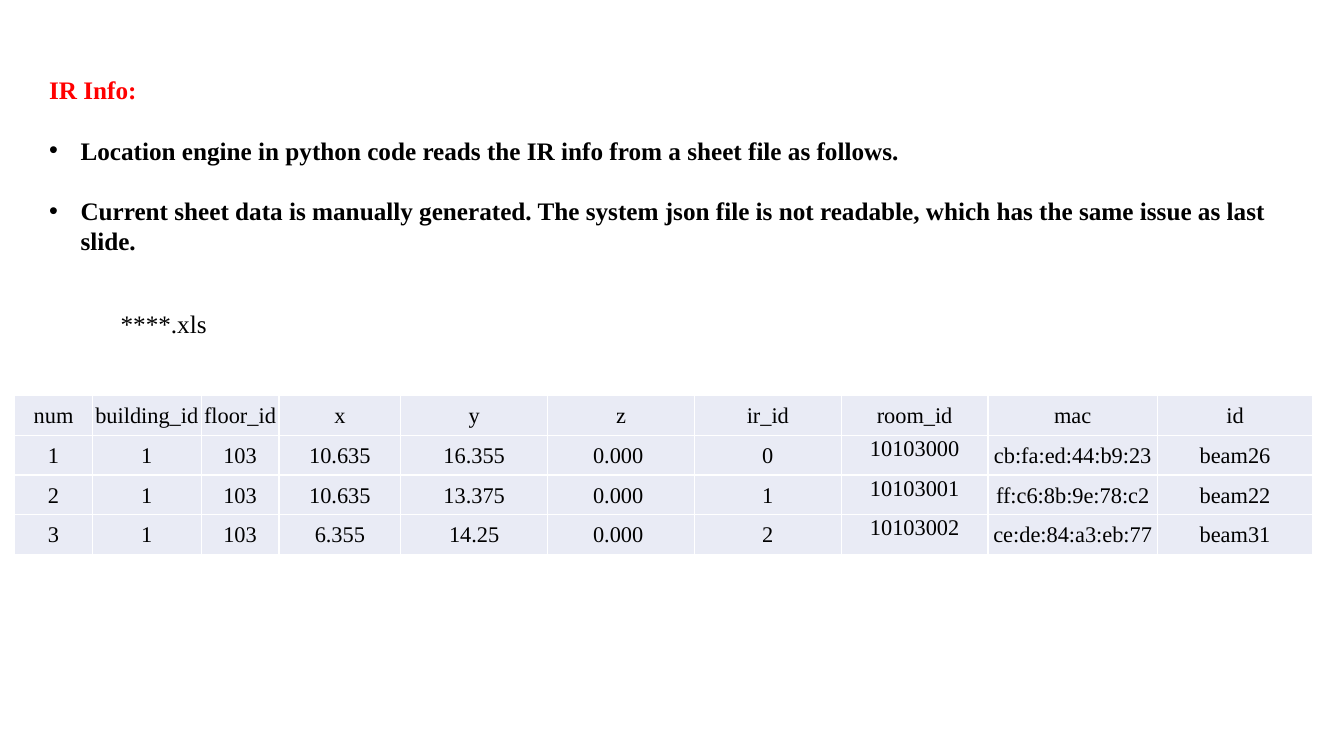
"""Build the slide that lists the IR info table read by the location engine."""
from dataclasses import dataclass

from lxml.etree import SubElement
from pptx import Presentation
from pptx.dml.color import RGBColor
from pptx.enum.text import MSO_ANCHOR as Anchor, MSO_AUTO_SIZE as AutoSize, PP_ALIGN as Align
from pptx.oxml import parse_xml
from pptx.oxml.ns import nsdecls, qn
from pptx.util import Cm, Pt

BLACK = RGBColor(0x00, 0x00, 0x00)
RED = RGBColor(0xFF, 0x00, 0x00)
WHITE = RGBColor(0xFF, 0xFF, 0xFF)
PALE_BLUE = RGBColor(0xE9, 0xEB, 0xF5)
FONT = "Times New Roman"
ROW_HEIGHT = Cm(1)
CELL_INSET = Cm(0.03)


@dataclass(frozen=True)
class Line:
    """A paragraph and its format."""

    text: str
    color: RGBColor = BLACK
    bold: bool = False
    bullet: bool = False
    gap: float = 0


@dataclass(frozen=True)
class TextBlock:
    """A text box with its place in centimetres."""

    left: float
    top: float
    width: float
    height: float
    lines: tuple[Line, ...]


@dataclass(frozen=True)
class Column:
    """A table column with its width in centimetres."""

    name: str
    width: float
    values: tuple[str, ...]
    anchor: Anchor = Anchor.MIDDLE


BLOCKS = (
    TextBlock(0.99, 1.75, 32.13, 5.64, (
        Line("IR Info:", color=RED, bold=True),
        Line("Location engine in python code reads the IR info from a sheet file as follows.",
             bold=True, bullet=True, gap=21.6),
        Line("Current sheet data is manually generated. The system json file is not readable, "
             "which has the same issue as last slide.", bold=True, bullet=True, gap=21.6),
    )),
    TextBlock(2.79, 7.65, 10.21, 1.02, (Line("****.xls"),)),
)

COLUMNS = (
    Column("num", 1.96, ("1", "2", "3")),
    Column("building_id", 2.74, ("1",) * 3),
    Column("floor_id", 1.96, ("103",) * 3),
    Column("x", 3.07, ("10.635", "10.635", "6.355")),
    Column("y", 3.7, ("16.355", "13.375", "14.25")),
    Column("z", 3.7, ("0.000 ",) * 3),
    Column("ir_id", 3.7, ("0", "1", "2")),
    Column("room_id", 3.7, ("10103000", "10103001", "10103002"), Anchor.TOP),
    Column("mac", 4.27, ("cb:fa:ed:44:b9:23", "ff:c6:8b:9e:78:c2", "ce:de:84:a3:eb:77")),
    Column("id", 3.91, ("beam26", "beam22", "beam31")),
)


def write(para, text: str, *, size: float, color: RGBColor = BLACK, bold: bool = False,
          align: Align = Align.LEFT, gap: float = 0) -> None:
    """Write formatted text into a paragraph."""
    para.alignment = align
    para.space_before = Pt(gap)
    span = para.add_run()
    span.text = text
    span.font.name = FONT
    span.font.size = Pt(size)
    span.font.bold = bold
    span.font.color.rgb = color


def add_bullet(para) -> None:
    """Give a paragraph a round bullet with a hanging indent."""
    properties = para._p.get_or_add_pPr()
    properties.set("marL", str(Cm(0.79)))
    properties.set("indent", str(-Cm(0.79)))
    SubElement(properties, qn("a:buFont"), typeface="Arial")
    SubElement(properties, qn("a:buChar"), char="•")


def add_text_block(page, block: TextBlock) -> None:
    """Draw a text box with all its lines."""
    box = page.shapes.add_textbox(Cm(block.left), Cm(block.top), Cm(block.width), Cm(block.height))
    frame = box.text_frame
    frame.word_wrap = True
    frame.auto_size = AutoSize.SHAPE_TO_FIT_TEXT
    for index, line in enumerate(block.lines):
        para = frame.add_paragraph() if index else frame.paragraphs[0]
        write(para, line.text, size=18, color=line.color, bold=line.bold, gap=line.gap)
        if line.bullet:
            add_bullet(para)


def add_borders(cell, color: RGBColor, width: float) -> None:
    """Draw the four borders of a table cell."""
    properties = cell._tc.get_or_add_tcPr()
    for index, side in enumerate(("lnL", "lnR", "lnT", "lnB")):
        properties.insert(index, parse_xml(
            f'<a:{side} {nsdecls("a")} w="{Pt(width)}"><a:solidFill>'
            f'<a:srgbClr val="{color}"/></a:solidFill></a:{side}>'))


def fill_cell(cell, text: str, anchor: Anchor) -> None:
    """Format a table cell and write its text."""
    cell.fill.solid()
    cell.fill.fore_color.rgb = PALE_BLUE
    cell.margin_left = cell.margin_right = cell.margin_top = CELL_INSET
    cell.margin_bottom = 0
    cell.vertical_anchor = anchor
    write(cell.text_frame.paragraphs[0], text, size=16, align=Align.CENTER)
    add_borders(cell, WHITE, 1)


def add_ir_table(page, columns: tuple[Column, ...]) -> None:
    """Draw the table of IR beacons."""
    row_count = 1 + len(columns[0].values)
    width = Cm(sum(column.width for column in columns))
    table = page.shapes.add_table(row_count, len(columns), Cm(0.37), Cm(9.97),
                                  width, ROW_HEIGHT * row_count).table
    table.first_row = table.horz_banding = False
    for row in table.rows:
        row.height = ROW_HEIGHT
    for column_index, column in enumerate(columns):
        table.columns[column_index].width = Cm(column.width)
        fill_cell(table.cell(0, column_index), column.name, Anchor.MIDDLE)
        for row_index, value in enumerate(column.values, start=1):
            fill_cell(table.cell(row_index, column_index), value, column.anchor)


def main() -> None:
    """Build and save the deck."""
    deck = Presentation()
    deck.slide_width, deck.slide_height = Cm(33.87), Cm(19.05)
    page = deck.slides.add_slide(deck.slide_layouts[6])
    for block in BLOCKS:
        add_text_block(page, block)
    add_ir_table(page, COLUMNS)
    deck.save("out.pptx")


if __name__ == "__main__":
    main()
